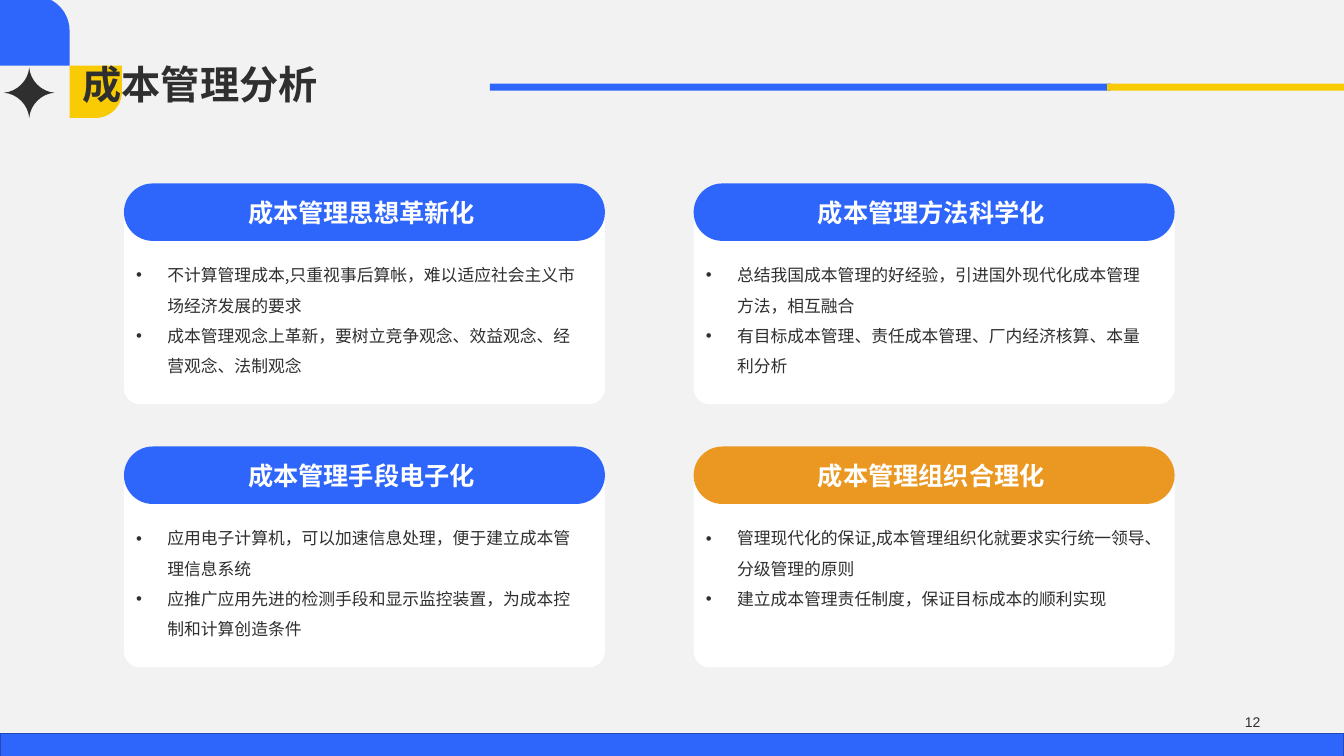
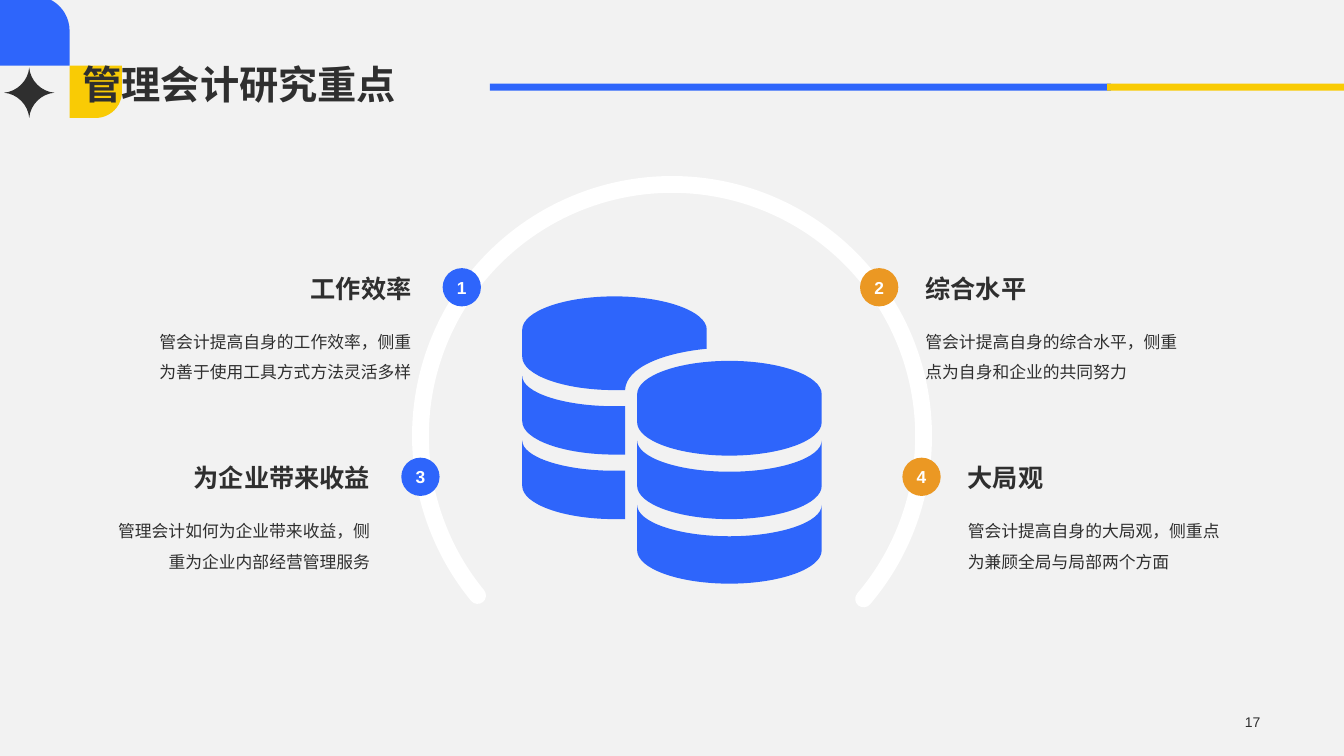
from dataclasses import dataclass

from lxml import etree
from pptx import Presentation
from pptx.dml.color import RGBColor
from pptx.enum.shapes import MSO_SHAPE
from pptx.enum.text import MSO_ANCHOR, MSO_AUTO_SIZE, PP_ALIGN
from pptx.oxml.ns import qn
from pptx.util import Inches, Pt

RECT, ROUND_ONE = MSO_SHAPE.RECTANGLE, MSO_SHAPE.ROUND_1_RECTANGLE
ROUNDED, OVAL, ARC = MSO_SHAPE.ROUNDED_RECTANGLE, MSO_SHAPE.OVAL, MSO_SHAPE.ARC
LEFT, CENTER, RIGHT = PP_ALIGN.LEFT, PP_ALIGN.CENTER, PP_ALIGN.RIGHT
TOP, MIDDLE, BOTTOM = MSO_ANCHOR.TOP, MSO_ANCHOR.MIDDLE, MSO_ANCHOR.BOTTOM


@dataclass(frozen=True)
class Theme:
    blue: RGBColor = RGBColor.from_string("2E65FB")
    edge: RGBColor = RGBColor.from_string("224BBA")
    yellow: RGBColor = RGBColor.from_string("F9CB05")
    orange: RGBColor = RGBColor.from_string("EB9823")
    ink: RGBColor = RGBColor.from_string("2F2F2F")
    paper: RGBColor = RGBColor.from_string("F2F2F2")
    white: RGBColor = RGBColor.from_string("FFFFFF")
    latin: str = "Arial"
    cjk: str = "Noto Sans CJK SC"
    title: float = 28
    heading: float = 18
    badge: float = 12.4
    body: float = 12
    number: float = 10


theme = Theme()


def paint(shape, color):
    """Flat fill, no outline, no shadow."""
    shape.shadow.inherit = False
    shape.fill.solid()
    shape.fill.fore_color.rgb = color
    shape.line.fill.background()
    return shape


def write(shape, lines, size, color=theme.ink, bold=False, font=theme.latin,
          align=LEFT, anchor=TOP, spacing=1.0, margin=None, bullet=False):
    """Set the paragraphs of a shape in one format."""
    frame = shape.text_frame
    frame_format = {"word_wrap": True, "auto_size": MSO_AUTO_SIZE.NONE, "vertical_anchor": anchor}
    if margin is not None:
        frame_format.update({f"margin_{side}": Inches(margin)
                             for side in ("left", "top", "right", "bottom")})
    for name, value in frame_format.items():
        setattr(frame, name, value)
    frame.text = "\n".join(lines)
    for paragraph in frame.paragraphs:
        if bullet:
            props = paragraph._p.get_or_add_pPr()
            props.set("marL", str(Inches(0.31)))
            props.set("indent", str(-Inches(0.31)))
            etree.SubElement(props, qn("a:buFont")).set("typeface", theme.latin)
            etree.SubElement(props, qn("a:buChar")).set("char", "•")
        for name, value in {"alignment": align, "line_spacing": spacing,
                            "space_before": Pt(0)}.items():
            setattr(paragraph, name, value)
        for run in paragraph.runs:
            for name, value in {"name": font, "size": Pt(size), "bold": bold}.items():
                setattr(run.font, name, value)
            run.font.color.rgb = color
            etree.SubElement(run._r.get_or_add_rPr(), qn("a:ea")).set("typeface", theme.cjk)


prs = Presentation()
prs.slide_width, prs.slide_height = Inches(13.33), Inches(7.5)
analysis = prs.slides.add_slide(prs.slide_layouts.get_by_name("Comparison"))
focus = prs.slides.add_slide(prs.slide_layouts.get_by_name("Title Only"))

# Shared decoration: backdrop, corner blocks and title rule
decorations = []
for kind, color, turn, box in (
    (RECT, theme.paper, 0, (0, 0, 13.33, 7.5)),
    (ROUND_ONE, theme.yellow, 90, (0.69, 0.65, 0.52, 0.52)),
    (ROUND_ONE, theme.blue, 0, (0, -0.04, 0.69, 0.69)),
    (RECT, theme.blue, 0, (4.86, 0.83, 6.16, 0.07)),
    (RECT, theme.yellow, 0, (10.98, 0.83, 2.35, 0.07)),
):
    block = paint(analysis.shapes.add_shape(kind, *map(Inches, box)), color)
    block.rotation = turn
    if kind == ROUND_ONE:
        block.adjustments[0] = 0.5
    decorations.append(block)

# Star contour: four inward curves, each a quarter turn of the first
# A contour is a start point and segments of one point (line) or three (curve)
star_curves = []
curve = [(0.01, -0.12), (0.12, -0.01), (0.25, 0)]
for quarter in range(4):
    star_curves.append([(0.29 + x, 0.92 + y) for x, y in curve])
    curve = [(-y, x) for x, y in curve]
star = [((0.29, 0.67), star_curves)]

# Coin contours: left, right, upper edge, its bulge, lower edge, cut right side
BEND, DEPTH = 0.55, 0.33
back_bands = [(5.18, 7.01, upper, 0.3, upper + 0.45,
               [[(6.2, upper + 0.3)], [(6.2, upper + 0.78)], [(6.1, upper + 0.78)]])
              for upper in (3.73, 4.37)]
back_top = [(6.6, 2.94), (7.01, 3.09), (7.01, 3.27)]
notch = [(6.59, 3.5), (6.21, 3.64), (6.2, 3.87)]
coin_layers = [
    (6.32, 8.15, 3.91, -0.33, 4.19, None),
    (6.32, 8.15, 4.37, 0.31, 4.82, None),
    (6.32, 8.15, 5.01, 0.31, 5.46, None),
    (5.18, 7.01, 3.27, -0.33, 3.54, [back_top, [(7.01, 3.46)], notch, [(6.1, 3.87)]]),
] + back_bands
coins = []
for left, right, upper, bulge, lower, cut in coin_layers:
    center, half = (left + right) / 2, (right - left) / 2
    inner, outer = center - BEND * half, center + BEND * half
    crest, base = upper + bulge, lower + DEPTH
    whole = [
        [(outer, crest), (right, upper + BEND * bulge), (right, upper)],
        [(right, lower)],
        [(right, lower + BEND * DEPTH), (outer, base), (center, base)],
    ]
    coins.append(((left, upper), [
        [(left, upper + BEND * bulge), (inner, crest), (center, crest)],
        *(cut or whole),
        [(inner, base), (left, lower + BEND * DEPTH), (left, lower)],
    ]))

# Draw the star and the coins, turning three-point segments into curves
for slide, color, contours in ((analysis, theme.ink, star), (focus, theme.blue, coins)):
    builder = slide.shapes.build_freeform(*map(Inches, contours[0][0]))
    for order, (start, segments) in enumerate(contours):
        if order:
            builder.move_to(*map(Inches, start))
        builder.add_line_segments([(Inches(x), Inches(y)) for part in segments for x, y in part])
    figure = paint(builder.convert_to_shape(), color)
    outline = figure.element.find(".//" + qn("a:path"))
    steps = iter(outline.findall(qn("a:lnTo")))
    for start, segments in contours:
        for segment in segments:
            nodes = [next(steps) for point in segment]
            if len(nodes) == 3:
                bezier = etree.SubElement(outline, qn("a:cubicBezTo"))
                nodes[0].addprevious(bezier)
                for node in nodes:
                    bezier.append(node[0])
                    outline.remove(node)
    if slide is analysis:
        decorations.append(figure)

# Move the shared decoration to the master, behind its placeholders
for order, decoration in enumerate(decorations):
    decoration.element.xpath(".//p:cNvPr")[0].set("id", str(100 + order))
    prs.slide_master.shapes.element.insert(2 + order, decoration.element)

# Titles and page numbers
for slide, title, number in ((analysis, "成本管理分析", "12"), (focus, "管理会计研究重点", "17")):
    for name, value in {"left": 0.72, "top": 0, "width": 11.88, "height": 1.12}.items():
        setattr(slide.shapes.title, name, Inches(value))
    write(slide.shapes.title, [title], theme.title, bold=True, anchor=BOTTOM, spacing=0.9)
    page = slide.shapes.add_textbox(*map(Inches, (9.69, 7.04, 2.91, 0.24)))
    write(page, [number], theme.number, align=RIGHT, anchor=MIDDLE)

# Slide 1: bottom band and four cards
band = paint(analysis.shapes.add_shape(RECT, *map(Inches, (0, 7.28, 13.33, 0.24))), theme.blue)
band.line.color.rgb = theme.edge
band.line.width = Pt(1)

cards = (
    ("成本管理思想革新化 ", theme.blue,
     ["不计算管理成本,只重视事后算帐，难以适应社会主义市场经济发展的要求",
      "成本管理观念上革新，要树立竞争观念、效益观念、经营观念、法制观念"]),
    ("成本管理方法科学化 ", theme.blue,
     ["总结我国成本管理的好经验，引进国外现代化成本管理方法，相互融合",
      "有目标成本管理、责任成本管理、厂内经济核算、本量利分析"]),
    ("成本管理手段电子化 ", theme.blue,
     ["应用电子计算机，可以加速信息处理，便于建立成本管理信息系统",
      "应推广应用先进的检测手段和显示监控装置，为成本控制和计算创造条件"]),
    ("成本管理组织合理化 ", theme.orange,
     ["管理现代化的保证,成本管理组织化就要求实行统一领导、分级管理的原则",
      "建立成本管理责任制度，保证目标成本的顺利实现"]),
)
for index, (heading, color, points) in enumerate(cards):
    left = 1.23 + index % 2 * 5.65
    top = 1.82 + index // 2 * 2.61
    panel = analysis.shapes.add_shape(ROUNDED, *map(Inches, (left, top + 0.23, 4.77, 1.96)))
    paint(panel, theme.white).adjustments[0] = 0.08
    points_list = analysis.placeholders[index + 1]
    for name, value in {"left": left + 0.12, "top": top + 0.71,
                        "width": 4.43, "height": 1.18}.items():
        setattr(points_list, name, Inches(value))
    write(points_list, points, theme.body, font=theme.cjk, spacing=1.5, margin=0, bullet=True)
    analysis.shapes.element.append(points_list.element)  # lift above the panel
    pill = analysis.shapes.add_shape(ROUNDED, *map(Inches, (left, top, 4.77, 0.57)))
    paint(pill, color).adjustments[0] = 0.5
    write(pill, [heading], theme.heading, theme.white, True, theme.cjk, CENTER, MIDDLE)

# Slide 2: open ring
ring = focus.shapes.add_shape(ARC, *map(Inches, (4.17, 1.83, 4.99, 4.99)))
ring.shadow.inherit = False
ring.fill.background()
ring.adjustments[0], ring.adjustments[1] = 84.37, 24.24
ring.line.color.rgb = theme.white
ring.line.width = Pt(12)
ring.line._get_or_add_ln().set("cap", "rnd")

# Slide 2: numbered topics on both sides of the ring
topics = (
    ("工作效率", "管会计提高自身的工作效率，侧重为善于使用工具方式方法灵活多样", 4.39, 2.66),
    ("综合水平", "管会计提高自身的综合水平，侧重点为自身和企业的共同努力", 8.53, 2.66),
    ("为企业带来收益", "管理会计如何为企业带来收益，侧重为企业内部经营管理服务", 3.98, 4.54),
    ("大局观", "管会计提高自身的大局观，侧重点为兼顾全局与局部两个方面", 8.95, 4.54),
)
for index, (heading, detail, left, top) in enumerate(topics):
    on_right = index % 2 == 1
    align = LEFT if on_right else RIGHT
    text_left = left + 0.55 if on_right else left - 0.21 - 2.78
    heading_box = focus.shapes.add_textbox(*map(Inches, (text_left, top, 2.78, 0.4)))
    write(heading_box, [heading], theme.heading, bold=True, align=align, anchor=MIDDLE)
    detail_box = focus.shapes.add_textbox(*map(Inches, (text_left, top + 0.48, 2.78, 0.67)))
    write(detail_box, [detail], theme.body, align=align, spacing=1.5)
    badge = focus.shapes.add_shape(OVAL, *map(Inches, (left, top, 0.38, 0.38)))
    paint(badge, theme.orange if on_right else theme.blue)
    write(badge, [str(index + 1)], theme.badge, theme.white, True,
          align=CENTER, anchor=MIDDLE, margin=0)

prs.save("out.pptx")
